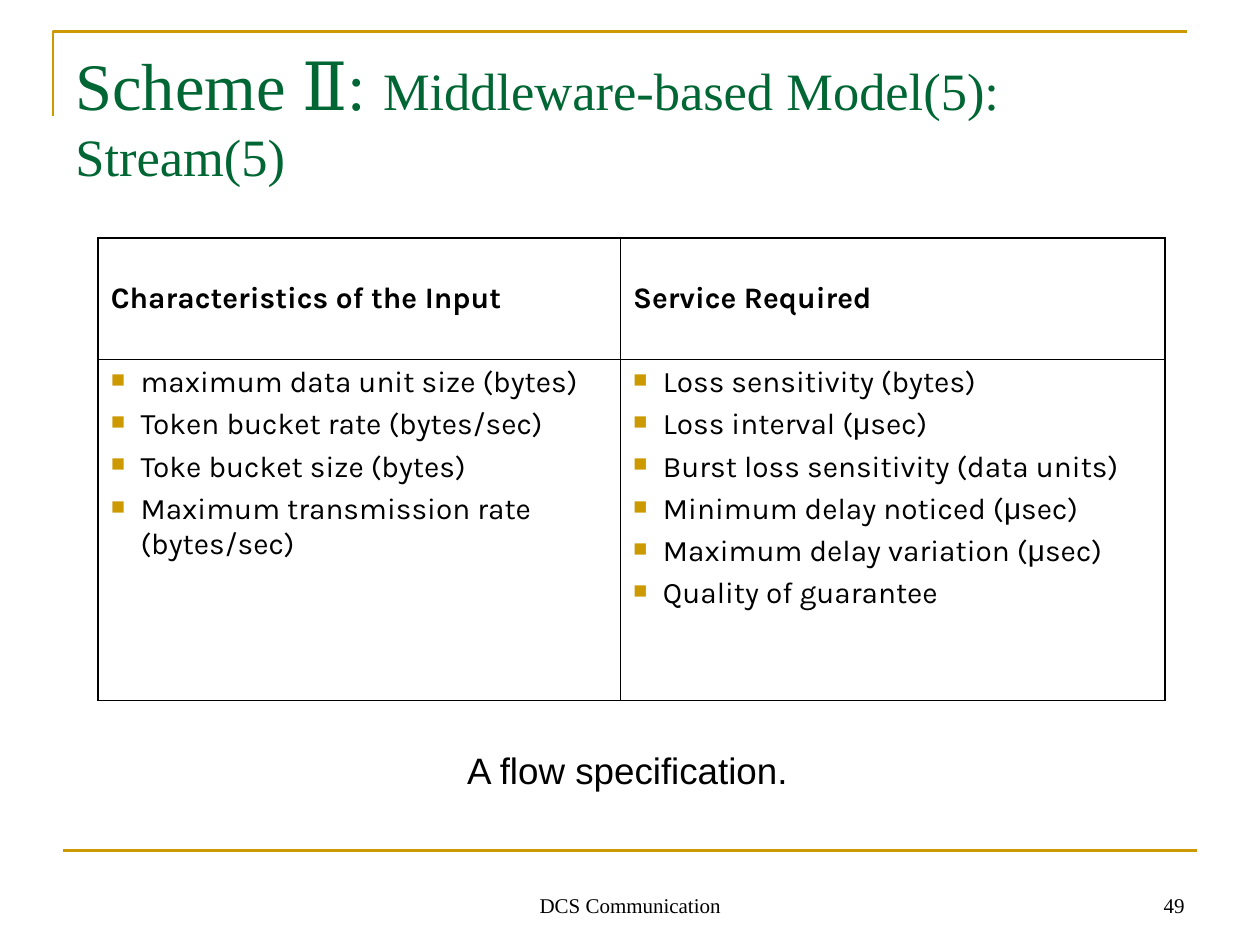
from collections import namedtuple
from dataclasses import dataclass

from lxml.etree import SubElement
from pptx import Presentation
from pptx.dml.color import RGBColor as Color
from pptx.enum.text import MSO_ANCHOR as Anchor, PP_ALIGN as Align
from pptx.oxml.ns import qn
from pptx.util import Cm, Pt

Box = namedtuple("Box", "left top width height")


@dataclass(frozen=True)
class Theme:
    gold: str = "CC9900"
    green: str = "006633"
    black: str = "000000"
    serif: str = "Times New Roman"
    sans: str = "Arial"
    table_font: str = "Karla"
    title_size: float = 38
    subtitle_size: float = 30
    caption_size: float = 21
    table_size: float = 17
    footer_size: float = 12
    rule_width: float = 1.5
    outer_border: float = 1.08
    inner_border: float = 0.45
    item_gap: float = 4.2


THEME = Theme()
HEADINGS = ["Characteristics of the Input", "Service Required"]
ITEMS = [
    [
        "maximum data unit size (bytes)",
        "Token bucket rate (bytes/sec)",
        "Toke bucket size (bytes)",
        "Maximum transmission rate (bytes/sec)",
    ],
    [
        "Loss sensitivity (bytes)",
        "Loss interval (μsec)",
        "Burst loss sensitivity (data units)",
        "Minimum delay noticed (μsec)",
        "Maximum delay variation (μsec)",
        "Quality of guarantee",
    ],
]


def add_span(para, text, font, size, color, bold=False):
    span = para.add_run()
    span.text = text
    span.font.name = font
    span.font.size = Pt(size)
    span.font.bold = bold
    span.font.color.rgb = Color.from_string(color)


def add_text(page, box, spans, align=Align.LEFT, anchor=Anchor.TOP):
    frame = page.shapes.add_textbox(*map(Cm, box)).text_frame
    frame.word_wrap = True
    frame.vertical_anchor = anchor
    para = frame.paragraphs[0]
    para.alignment = align
    for span in spans:
        add_span(para, *span)


def style_rule(shape):
    shape.line.color.rgb = Color.from_string(THEME.gold)
    shape.line.width = Pt(THEME.rule_width)


def add_header(page, box):
    left, top = Cm(box.left), Cm(box.top)
    builder = page.shapes.build_freeform(left, top + Cm(1.7))
    builder.add_line_segments(
        [(left, top), (left + Cm(box.width), top)], close=False
    )
    corner = builder.convert_to_shape()
    corner.shadow.inherit = False
    corner.fill.background()
    style_rule(corner)
    spans = [
        ("Scheme Ⅱ: ", THEME.serif, THEME.title_size, THEME.green),
        ("Middleware-based Model(5): Stream(5)", THEME.serif,
         THEME.subtitle_size, THEME.green),
    ]
    title_box = Box(box.left + 0.2, box.top + 0.12, box.width, box.height)
    add_text(page, title_box, spans)


def add_footer(page, box):
    right = box.left + box.width
    ends = (box.left, box.top, right, box.top)
    rule = page.shapes.add_connector(1, *map(Cm, ends))
    SubElement(rule._element.spPr, qn("a:effectLst"))
    style_rule(rule)
    parts = [
        ("DCS Communication", box.left + 7.41, 8.05, Align.CENTER),
        ("49", right - 5.92, 5.92, Align.RIGHT),
    ]
    for text, left, width, align in parts:
        span = (text, THEME.serif, THEME.footer_size, THEME.black)
        text_box = Box(left, box.top + 0.2, width, box.height - 0.2)
        add_text(page, text_box, [span], align, Anchor.BOTTOM)


def set_borders(cell, outer_sides):
    properties = cell._tc.get_or_add_tcPr()
    for side in "LRTB":
        width = THEME.outer_border if side in outer_sides else THEME.inner_border
        line = SubElement(properties, qn(f"a:ln{side}"), w=str(Pt(width)))
        fill = SubElement(line, qn("a:solidFill"))
        SubElement(fill, qn("a:srgbClr"), val=THEME.black)
    cell.fill.background()


def add_bullet(para):
    properties = para._p.get_or_add_pPr()
    indent = Cm(0.6)
    properties.set("marL", str(indent))
    properties.set("indent", str(-indent))
    color = SubElement(properties, qn("a:buClr"))
    SubElement(color, qn("a:srgbClr"), val=THEME.gold)
    SubElement(properties, qn("a:buSzPct"), val="65000")
    SubElement(properties, qn("a:buChar"), char="■")


def fill_items(cell, items):
    for index, item in enumerate(items):
        frame = cell.text_frame
        para = frame.add_paragraph() if index else frame.paragraphs[0]
        add_bullet(para)
        if index:
            para.space_before = Pt(THEME.item_gap)
        for text in filter(None, item.partition("μ")):
            font = THEME.sans if text == "μ" else THEME.table_font
            add_span(para, text, font, THEME.table_size, THEME.black)


def add_flow_table(page, box):
    table = page.shapes.add_table(2, 2, *map(Cm, box)).table
    table.first_row = table.horz_banding = False
    first_width, first_height = 10.53, 2.44
    table.columns[0].width = Cm(first_width)
    table.columns[1].width = Cm(box.width - first_width)
    table.rows[0].height = Cm(first_height)
    table.rows[1].height = Cm(box.height - first_height)
    for column, side in enumerate("LR"):
        heading, body = table.cell(0, column), table.cell(1, column)
        set_borders(heading, side + "T")
        set_borders(body, side + "B")
        heading.vertical_anchor = Anchor.MIDDLE
        add_span(heading.text_frame.paragraphs[0], HEADINGS[column],
                 THEME.table_font, THEME.table_size, THEME.black, True)
        fill_items(body, ITEMS[column])


def add_caption(page, box):
    span = ("A flow specification.", THEME.sans, THEME.caption_size, THEME.black)
    add_text(page, box, [span], Align.CENTER)


def main():
    deck = Presentation()
    deck.slide_width, deck.slide_height = Cm(25.4), Cm(19.05)
    page = deck.slides.add_slide(deck.slide_layouts[6])
    add_header(page, Box(1.07, 0.64, 22.86, 3.3))
    add_flow_table(page, Box(1.98, 4.8, 21.5, 9.32))
    add_caption(page, Box(2.9, 14.94, 19.5, 1.32))
    add_footer(page, Box(1.27, 17.15, 22.86, 1.47))
    deck.save("out.pptx")


if __name__ == "__main__":
    main()
